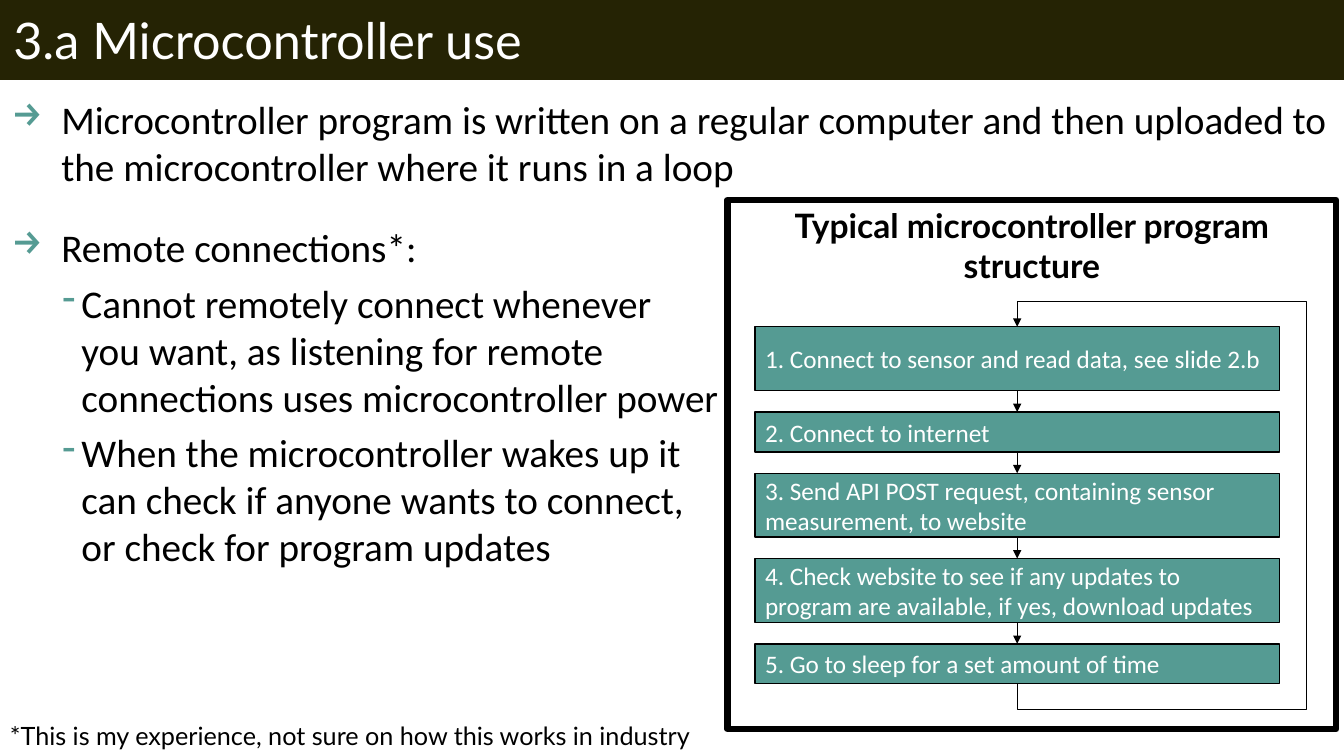
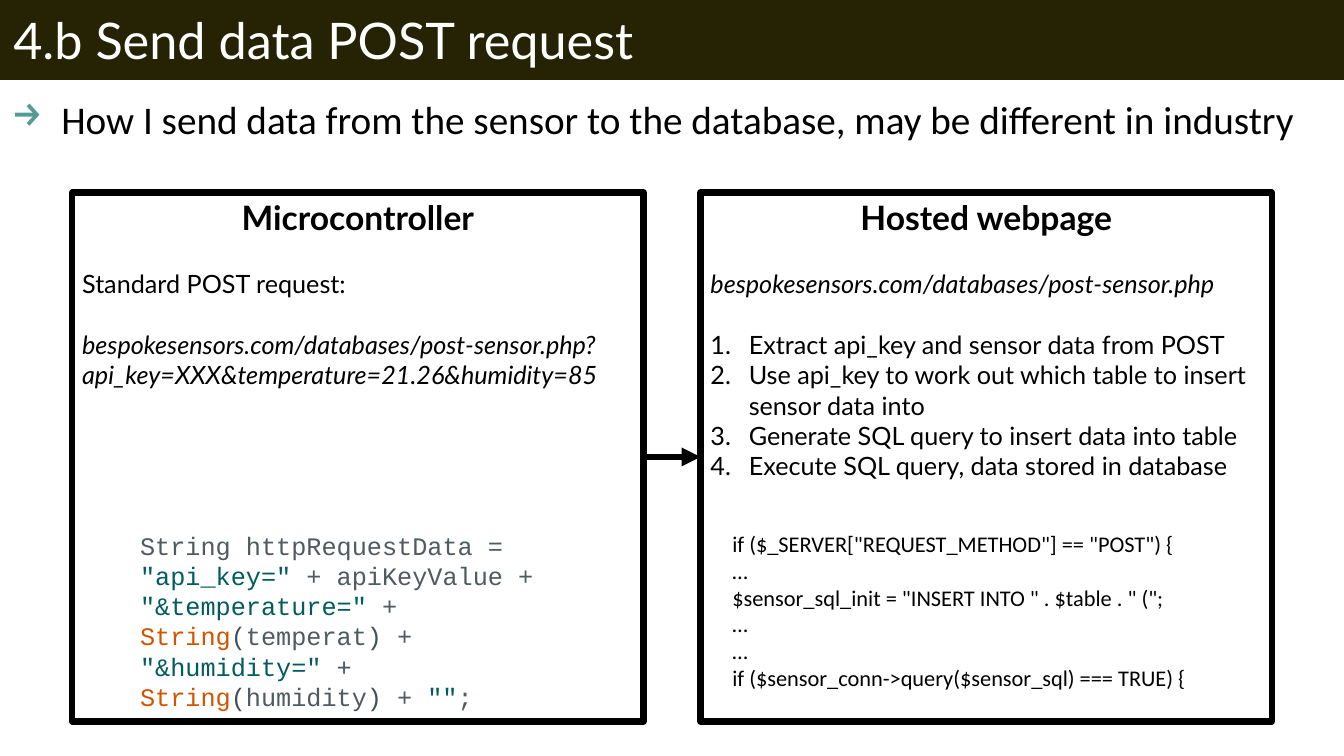
"""Build two slides on microcontroller use and sending sensor data."""
from dataclasses import dataclass
from itertools import pairwise
from typing import NamedTuple

from pptx import Presentation
from pptx.dml.color import RGBColor
from pptx.enum.shapes import MSO_CONNECTOR, MSO_SHAPE
from pptx.enum.text import MSO_ANCHOR, MSO_AUTO_SIZE, PP_ALIGN
from pptx.oxml import parse_xml
from pptx.oxml.ns import nsdecls, qn
from pptx.shapes.autoshape import Shape
from pptx.slide import Slide
from pptx.text.text import TextFrame
from pptx.util import Emu, Inches, Pt

COLUMNS, ROWS = 160, 90
CELL = Inches(7.5) / ROWS

BLACK, WHITE = "000000", "FFFFFF"
OLIVE, TEAL = "252304", "559B93"
PLAIN, QUOTED, TYPE_NAME, BRACKET = "4E5B61", "005C5F", "D35400", "434F54"
BODY, HEADING, CODE = "Calibri", "Lato", "Courier New"

FRAME_HEIGHT = 63
LINE_GAP = 22


class Area(NamedTuple):
    """A rectangle in columns and rows of the grid."""

    left: float
    top: float
    width: float
    height: float


class Token(NamedTuple):
    """A piece of text in one colour."""

    text: str
    color: str


@dataclass(frozen=True)
class Bullet:
    """A list marker with its indent in inches."""

    mark: str
    indent: float
    hang: float
    level: int = 0
    color: str = TEAL


@dataclass(frozen=True)
class Step:
    """One step of the program loop and its height in rows."""

    label: str
    height: float


ARROW = Bullet("→", 0.49, 0.49)
DASH = Bullet("-", 0.69, 0.19, level=1)
NUMBER = Bullet("", 0.38, 0.38, color=BLACK)

TALL, SHORT, STEP_GAP = 7.6, 4.75, 2.55
STEPS = (
    Step("1. Connect to sensor and read data, see slide 2.b", TALL),
    Step("2. Connect to internet", SHORT),
    Step("3. Send API POST request, containing sensor measurement, to website", TALL),
    Step("4. Check website to see if any updates to program are available, "
         "if yes, download updates", TALL),
    Step("5. Go to sleep for a set amount of time", SHORT),
)

REMOTE_POINTS = (
    "Cannot remotely connect whenever\nyou want, as listening for remote\n"
    "connections uses microcontroller power",
    "When the microcontroller wakes up it\ncan check if anyone wants to connect,\n"
    "or check for program updates",
)

WEBPAGE_TASKS = (
    "Extract api_key and sensor data from POST",
    "Use api_key to work out which table to insert sensor data into",
    "Generate SQL query to insert data into table",
    "Execute SQL query, data stored in database",
)

REQUEST_CODE = (
    Token("String httpRequestData = ", PLAIN),
    Token('"api_key="', QUOTED),
    Token(" + apiKeyValue + ", PLAIN),
    Token('"&temperature="', QUOTED),
    Token(" + ", PLAIN),
    Token("String", TYPE_NAME),
    Token("(", BRACKET),
    Token("temperat", PLAIN),
    Token(")", BRACKET),
    Token(" + ", PLAIN),
    Token('"&humidity="', QUOTED),
    Token(" + ", PLAIN),
    Token("String", TYPE_NAME),
    Token("(", BRACKET),
    Token("humidity", PLAIN),
    Token(")", BRACKET),
    Token(" + ", PLAIN),
    Token('""', QUOTED),
    Token(";", PLAIN),
)

WEBPAGE_CODE = (
    'if ($_SERVER["REQUEST_METHOD"] == "POST") {',
    "…",
    '$sensor_sql_init = "INSERT INTO " . $table . " (";',
    "…",
    "…",
    "if ($sensor_conn->query($sensor_sql) === TRUE) {",
)


def cells(count: float) -> Emu:
    """Turn a count of grid cells into a length."""
    return Emu(round(count * CELL))


def rgb(color: str) -> RGBColor:
    """Turn a hex string into a colour."""
    return RGBColor.from_string(color)


def add_bullet(paragraph, bullet: Bullet) -> None:
    """Give a paragraph its list marker and hanging indent."""
    paragraph.level = bullet.level
    properties = paragraph._p.get_or_add_pPr()
    properties.set("marL", str(Inches(bullet.indent)))
    properties.set("indent", str(-Inches(bullet.hang)))
    marker = (f'<a:buChar {nsdecls("a")} char="{bullet.mark}"/>' if bullet.mark
              else f'<a:buAutoNum {nsdecls("a")} type="arabicPeriod"/>')
    properties.append(parse_xml(
        f'<a:buClr {nsdecls("a")}><a:srgbClr val="{bullet.color}"/></a:buClr>'))
    properties.append(parse_xml(marker))


def write(frame: TextFrame, text: str | tuple[Token, ...], *, size: float,
          font: str = BODY, color: str = BLACK, bold: bool = False,
          italic: bool = False, align: PP_ALIGN = PP_ALIGN.LEFT,
          before: float = 0, after: float = 0, bullet: Bullet | None = None) -> None:
    """Add one formatted paragraph to a text frame."""
    first = frame.paragraphs[0]
    paragraph = frame.add_paragraph() if first.runs else first
    if bullet:
        add_bullet(paragraph, bullet)
    paragraph.alignment = align
    paragraph.space_before, paragraph.space_after = Pt(before), Pt(after)
    tokens = (Token(text, color),) if isinstance(text, str) else text
    for token in tokens:
        for index, line in enumerate(token.text.split("\n")):
            if index:
                paragraph.add_line_break()
            run = paragraph.add_run()
            run.text = line
            run.font.name, run.font.size = font, Pt(size)
            run.font.bold, run.font.italic = bold, italic
            run.font.color.rgb = rgb(token.color)


def add_text_area(slide: Slide, area: Area) -> TextFrame:
    """Add a wrapping text box that fits its text."""
    frame = slide.shapes.add_textbox(*map(cells, area)).text_frame
    frame.word_wrap = True
    frame.auto_size = MSO_AUTO_SIZE.SHAPE_TO_FIT_TEXT
    return frame


def add_box(slide: Slide, area: Area, *, fill: str | None = None,
            border: float = 0, anchor: MSO_ANCHOR = MSO_ANCHOR.TOP) -> Shape:
    """Add a rectangle with an optional fill and black border."""
    box = slide.shapes.add_shape(MSO_SHAPE.RECTANGLE, *map(cells, area))
    box.shadow.inherit = False
    if fill:
        box.fill.solid()
        box.fill.fore_color.rgb = rgb(fill)
    else:
        box.fill.background()
    if border:
        box.line.color.rgb = rgb(BLACK)
        box.line.width = Pt(border)
    else:
        box.line.fill.background()
    box.text_frame.word_wrap = True
    box.text_frame.vertical_anchor = anchor
    return box


def add_frame(slide: Slide, area: Area, heading: str) -> Shape:
    """Add a thick black frame with a centred heading."""
    frame = add_box(slide, area, border=4.5)
    write(frame.text_frame, heading, size=24, font=HEADING, bold=True,
          align=PP_ALIGN.CENTER)
    return frame


def style_arrow(arrow, weight: float) -> None:
    """Draw a line in black with a triangle at its end."""
    arrow.line.color.rgb = rgb(BLACK)
    arrow.line.width = Pt(weight)
    outline = arrow._element.spPr.find(qn("a:ln"))
    outline.append(parse_xml(f'<a:tailEnd {nsdecls("a")} type="triangle"/>'))


def join(slide: Slide, source: Shape, source_side: int, target: Shape,
         target_side: int, weight: float) -> None:
    """Join two rectangles with a straight arrow."""
    arrow = slide.shapes.add_connector(MSO_CONNECTOR.STRAIGHT, 0, 0, 0, 0)
    arrow.begin_connect(source, source_side)
    arrow.end_connect(target, target_side)
    style_arrow(arrow, weight)
    arrow._element.spPr.append(parse_xml(f'<a:effectLst {nsdecls("a")}/>'))


def add_loop(slide: Slide, points: list[tuple[float, float]], weight: float) -> None:
    """Draw the bent arrow that leads back to the first step."""
    start, *corners = [(cells(column), cells(row)) for column, row in points]
    builder = slide.shapes.build_freeform(*start)
    builder.add_line_segments(corners, close=False)
    loop = builder.convert_to_shape()
    loop.shadow.inherit = False
    loop.fill.background()
    style_arrow(loop, weight)


def start_slide(presentation, title: str) -> Slide:
    """Add a blank slide with the shared title band."""
    slide = presentation.slides.add_slide(presentation.slide_layouts[6])
    add_box(slide, Area(0, 0, COLUMNS, 9.5), fill=OLIVE)
    write(add_text_area(slide, Area(0.4, 0.5, 102, 8.5)), title,
          size=36, font=HEADING, color=WHITE)
    return slide


def add_lead(slide: Slide, text: str, height: float) -> TextFrame:
    """Add the main text area with its first arrow point."""
    lead = add_text_area(slide, Area(0.24, 10.8, COLUMNS - 0.24, height))
    write(lead, text, size=28, after=24, bullet=ARROW)
    return lead


def build_use_slide(presentation) -> None:
    """Build the slide on how the microcontroller runs its program."""
    slide = start_slide(presentation, "3.a Microcontroller use")
    lead = add_lead(slide, "Microcontroller program is written on a regular computer and "
                    "then uploaded to the microcontroller where it runs in a loop", 58.2)
    write(lead, "Remote connections*:", size=28, after=6, bullet=ARROW)
    for point in REMOTE_POINTS:
        write(lead, point, size=28, after=6, bullet=DASH)

    add_frame(slide, Area(86.6, 23.8, 72.5, FRAME_HEIGHT),
              "Typical microcontroller program structure")
    left, first_top, width = 89.9, 38.9, 62.4
    top, boxes = first_top, []
    for step in STEPS:
        box = add_box(slide, Area(left, top, width, step.height), fill=TEAL,
                      border=1, anchor=MSO_ANCHOR.MIDDLE)
        write(box.text_frame, step.label, size=18, color=WHITE)
        boxes.append(box)
        top += step.height + STEP_GAP
    for upper, lower in pairwise(boxes):
        join(slide, upper, 2, lower, 0, 0.5)

    middle, bottom, outside, margin = left + width / 2, top - STEP_GAP, 155.5, 3
    add_loop(slide, [(middle, bottom), (middle, bottom + margin),
                     (outside, bottom + margin), (outside, first_top - margin),
                     (middle, first_top - margin), (middle, first_top)], 0.5)
    write(add_text_area(slide, Area(0, 85.2, 84.4, 4.8)),
          "*This is my experience, not sure on how this works in industry",
          size=18, font=HEADING)


def build_post_slide(presentation) -> None:
    """Build the slide on sending data from sensor to database."""
    slide = start_slide(presentation, "4.b Send data POST request")
    add_lead(slide, "How I send data from the sensor to the database, "
             "may be different in industry", 6.8)
    width, gap, top, code_top = 68, 6.8, 22.9, 62.5
    left = (COLUMNS - 2 * width - gap) / 2
    right = left + width + gap

    sender = add_frame(slide, Area(left, top, width, FRAME_HEIGHT), "Microcontroller")
    for text, italic in (
        ("Standard POST request:", False),
        ("bespokesensors.com/databases/post-sensor.php?"
         "api_key=XXX&temperature=21.26&humidity=85", True),
    ):
        write(sender.text_frame, text, size=18, font=HEADING, italic=italic, before=LINE_GAP)

    webpage = add_frame(slide, Area(right, top, width, FRAME_HEIGHT), "Hosted webpage")
    write(webpage.text_frame, "bespokesensors.com/databases/post-sensor.php",
          size=18, font=HEADING, italic=True, before=LINE_GAP, after=LINE_GAP)
    for task in WEBPAGE_TASKS:
        write(webpage.text_frame, task, size=18, font=HEADING, bullet=NUMBER)

    write(add_text_area(slide, Area(left + 6.9, code_top, 54.2, 19.4)),
          REQUEST_CODE, size=18, font=CODE)
    webpage_code = add_text_area(slide, Area(right + 2.6, code_top, 62.8, 20.6))
    for line in WEBPAGE_CODE:
        write(webpage_code, line, size=16)
    join(slide, sender, 3, webpage, 1, 4.5)


def main() -> None:
    """Build and save the presentation."""
    presentation = Presentation()
    presentation.slide_width, presentation.slide_height = cells(COLUMNS), cells(ROWS)
    build_use_slide(presentation)
    build_post_slide(presentation)
    presentation.save("out.pptx")


if __name__ == "__main__":
    main()
